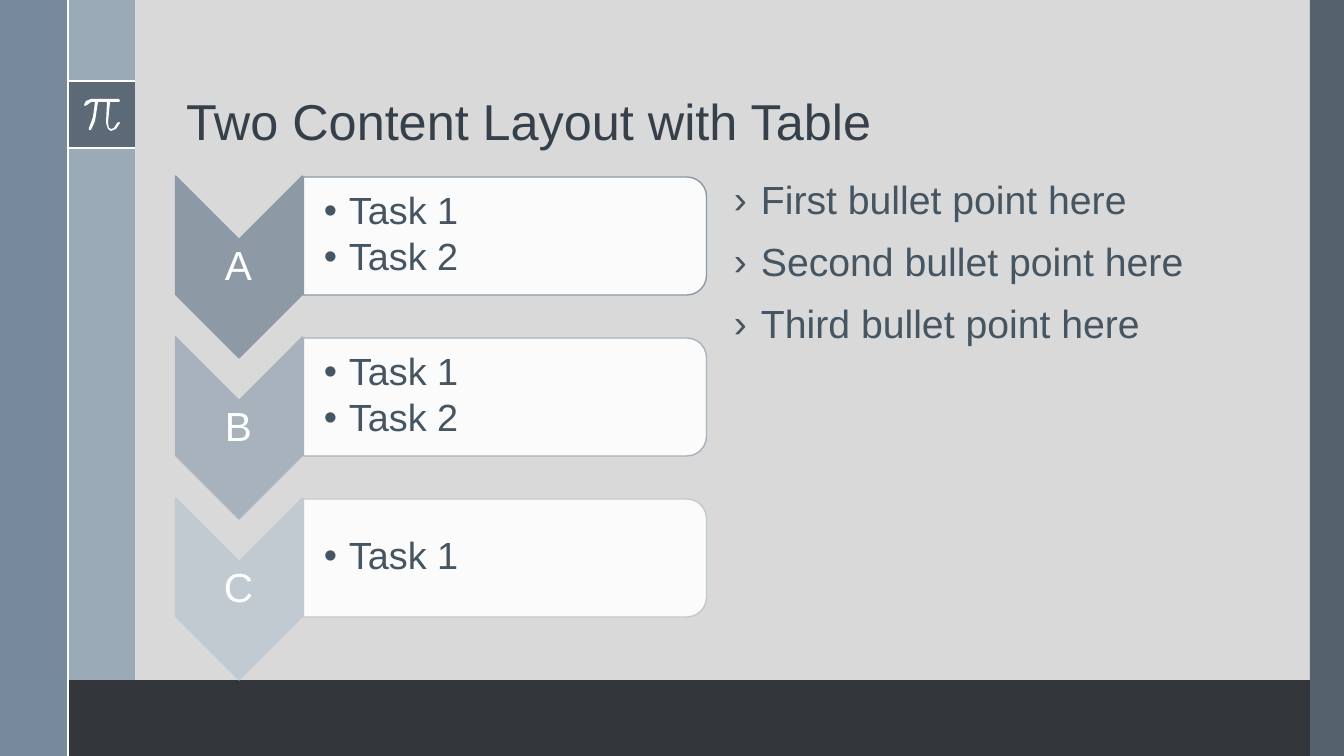
import pptx
import pptx.util
import pptx.dml.color
import pptx.enum.shapes
import pptx.enum.text
import pptx.oxml
import pptx.oxml.ns

TITLE = "Two Content Layout with Table"
POINTS = ["First bullet point here", "Second bullet point here",
          "Third bullet point here"]
STEPS = [("A", ["Task 1", "Task 2"], "8D9AA6"),
         ("B", ["Task 1", "Task 2"], "A7B2BC"),
         ("C", ["Task 1"], "C1C9D1")]
COLORS = {"back": "D9D9D9", "white": "FFFFFF", "slate": "475562",
          "band": "9BAAB7", "edge": "6A8093", "foot": "33363B",
          "title": "35404A", "text": "465562"}
FONT = "Arial"

# left, top, width, height, color, opacity in percent
PANELS = [(1310, 0, 34, 756, "slate", 90),
          (67, 0, 68, 756, "band", 100),
          (0, 0, 67, 756, "edge", 88),
          (68, 81, 67, 67, "slate", 75),
          (68, 680, 1242, 76, "foot", 100)]
RULES = [(68, 81, 135, 81), (68, 148, 135, 148), (68, 0, 68, 756)]
PI = [(119, 99), (91, 99), (86, 101), (84, 105), (85, 106), (87, 105),
      (91, 102), (95, 102), (93, 117), (89, 128), (89, 130), (91, 130),
      (95, 121), (98, 102), (107, 102), (106, 123), (108, 129), (111, 131),
      (116, 129), (120, 123), (119, 122), (117, 123), (114, 128),
      (111, 129), (109, 128), (108, 123), (110, 102), (119, 102), (120, 101)]

WIDE, HIGH = 1344, 756
UNIT = 12192000 / WIDE
SHAPE = pptx.enum.shapes.MSO_SHAPE
ALIGN = pptx.enum.text.PP_ALIGN
ANCHOR = pptx.enum.text.MSO_ANCHOR
Pt = pptx.util.Pt


def px(*sizes):
    return [round(size * UNIT) for size in sizes]


def rgb(code):
    return pptx.dml.color.RGBColor.from_string(code)


def paint(shape, code, alpha=100, edge=None):
    """Give a shape a flat fill and an optional 1 pt outline."""
    shape.shadow.inherit = False
    shape.fill.solid()
    shape.fill.fore_color.rgb = rgb(code)
    if alpha < 100:
        node = shape.fill._xPr.find(".//" + pptx.oxml.ns.qn("a:srgbClr"))
        add_node(node, "a:alpha", val=alpha * 1000)
    if edge:
        shape.line.color.rgb = rgb(edge)
        shape.line.width = Pt(1)
    else:
        shape.line.fill.background()


def add_node(parent, tag, **attrs):
    node = pptx.oxml.parse_xml(f"<{tag} {pptx.oxml.ns.nsdecls('a')}/>")
    for key, value in attrs.items():
        node.set(key, str(value))
    parent.append(node)


def write(frame, lines, size, color, align=ALIGN.LEFT, anchor=ANCHOR.TOP,
          insets=(10, 5, 10, 5), before=0, after=0, bullet=None, indent=0):
    frame.word_wrap = True
    frame.auto_size = pptx.enum.text.MSO_AUTO_SIZE.NONE
    frame.vertical_anchor = anchor
    (frame.margin_left, frame.margin_top,
     frame.margin_right, frame.margin_bottom) = px(*insets)
    for i, line in enumerate(lines):
        para = frame.add_paragraph() if i else frame.paragraphs[0]
        para.alignment = align
        para.line_spacing = 0.9
        para.space_before = Pt(before)
        para.space_after = Pt(after)
        if bullet:
            props = para._p.get_or_add_pPr()
            hang = px(indent)[0]
            props.set("marL", str(hang))
            props.set("indent", str(-hang))
            add_node(props, "a:buFont", typeface=FONT)
            add_node(props, "a:buChar", char=bullet)
        run = para.add_run()
        run.text = line
        run.font.name = FONT
        run.font.size = Pt(size)
        run.font.color.rgb = rgb(color)


def add_mid(shapes, kind, mid_x, mid_y, wide, high):
    """Add a shape around its centre, turned a quarter clockwise."""
    shape = shapes.add_shape(
        kind, *px(mid_x - wide / 2, mid_y - high / 2, wide, high))
    shape.rotation = 90
    return shape


def add_frame(shapes):
    for *box, color, alpha in PANELS:
        paint(shapes.add_shape(SHAPE.RECTANGLE, *px(*box)),
              COLORS[color], alpha)
    for ends in RULES:
        rule = shapes.add_connector(
            pptx.enum.shapes.MSO_CONNECTOR.STRAIGHT, *px(*ends))
        rule.line.color.rgb = rgb(COLORS["white"])
        rule.line.width = Pt(1.5)
        add_node(rule._element.spPr, "a:effectLst")
    pen = shapes.build_freeform(*PI[0], scale=UNIT)
    pen.add_line_segments(PI[1:], close=True)
    paint(pen.convert_to_shape(), COLORS["white"])


def add_steps(shapes):
    top, pitch = 176, 161
    for i, (name, tasks, color) in enumerate(STEPS):
        row = top + i * pitch
        mid = row + 91
        arrow = add_mid(shapes, SHAPE.CHEVRON, 239, mid, 182, 127)
        paint(arrow, color, edge=color)
        label = shapes.add_textbox(*px(175, mid - 27, 127, 54))
        write(label.text_frame, [name], 29, COLORS["white"], ALIGN.CENTER,
              ANCHOR.MIDDLE, (2, 2, 2, 2))
        card = add_mid(shapes, SHAPE.ROUND_2_SAME_RECTANGLE,
                       505, row + 60, 118, 403)
        paint(card, COLORS["white"], 90, color)
        note = shapes.add_textbox(*px(303, row + 6, 397, 107))
        write(note.text_frame, tasks, 27, COLORS["text"],
              anchor=ANCHOR.MIDDLE, insets=(21, 2, 2, 2), after=4,
              bullet="•", indent=25)


def main():
    deck = pptx.Presentation()
    deck.slide_width, deck.slide_height = px(WIDE, HIGH)
    slide = deck.slides.add_slide(deck.slide_layouts[5])
    slide.background.fill.solid()
    slide.background.fill.fore_color.rgb = rgb(COLORS["back"])
    shapes = slide.shapes
    add_frame(shapes)
    title = shapes.title
    title.left, title.top, title.width, title.height = px(176, 19, 1078, 137)
    write(title.text_frame, [TITLE], 36, COLORS["title"],
          anchor=ANCHOR.BOTTOM)
    body = shapes.add_textbox(*px(724, 176, 531, 504))
    write(body.text_frame, POINTS, 28, COLORS["text"], before=14,
          bullet="›", indent=27)
    add_steps(shapes)
    deck.save("out.pptx")


if __name__ == "__main__":
    main()
